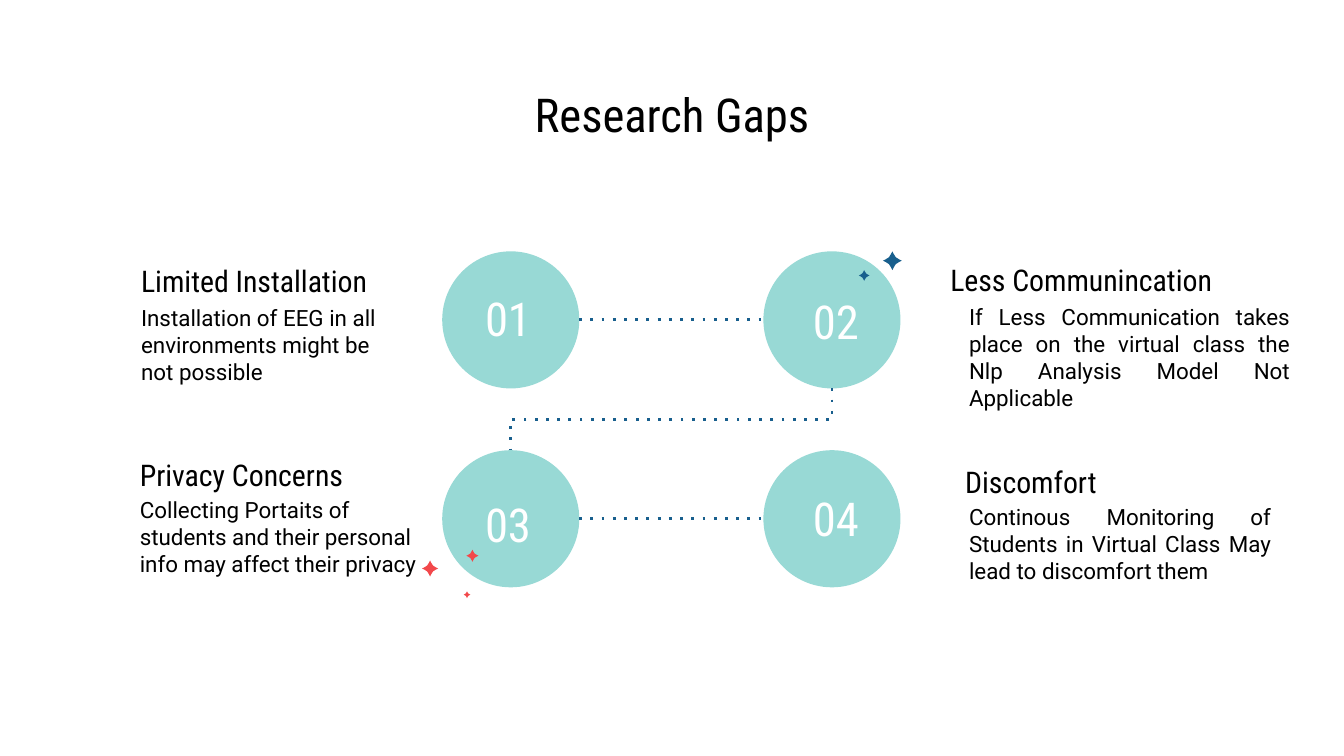
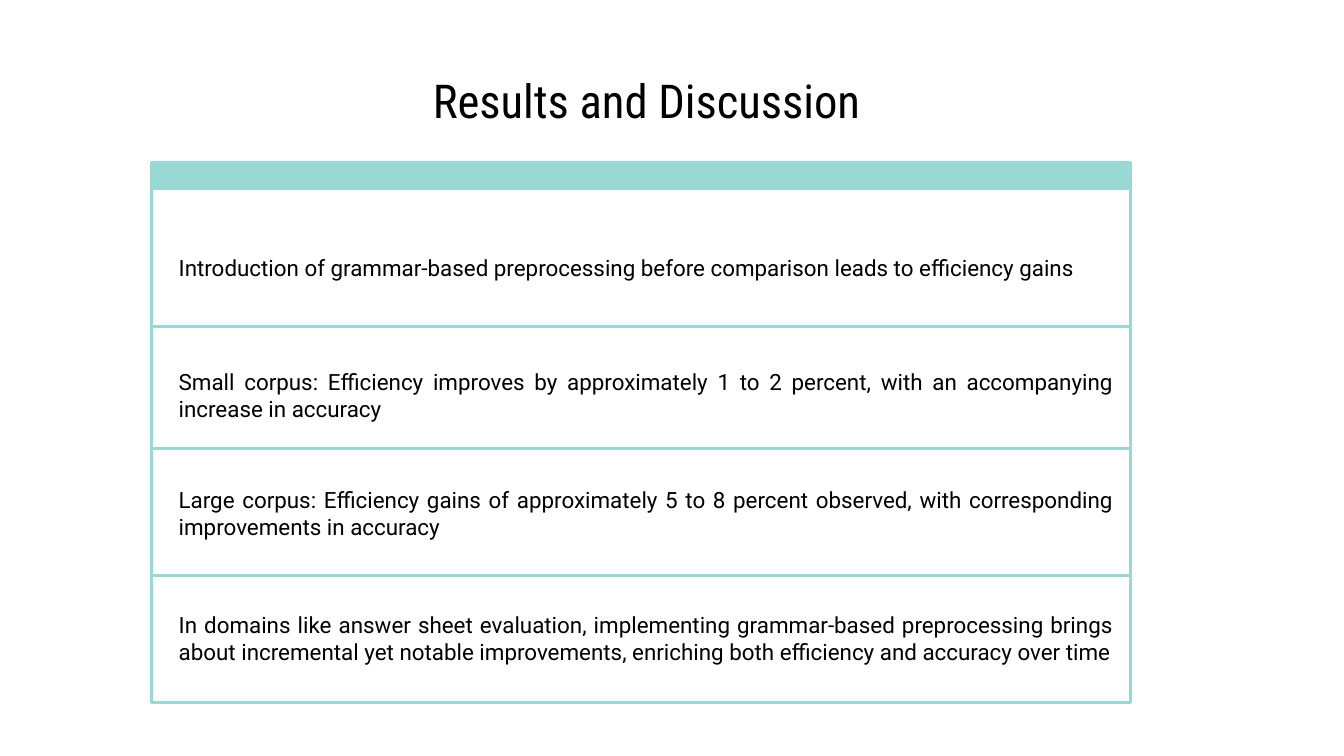
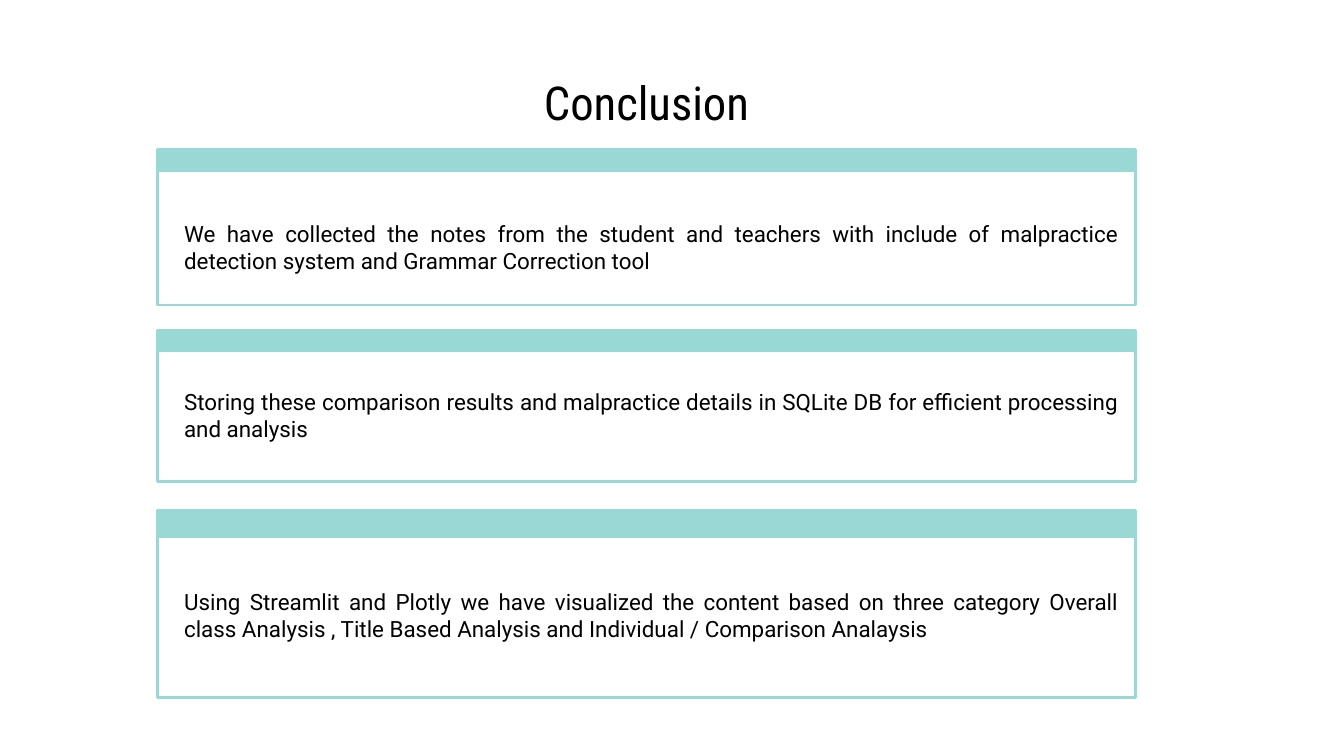
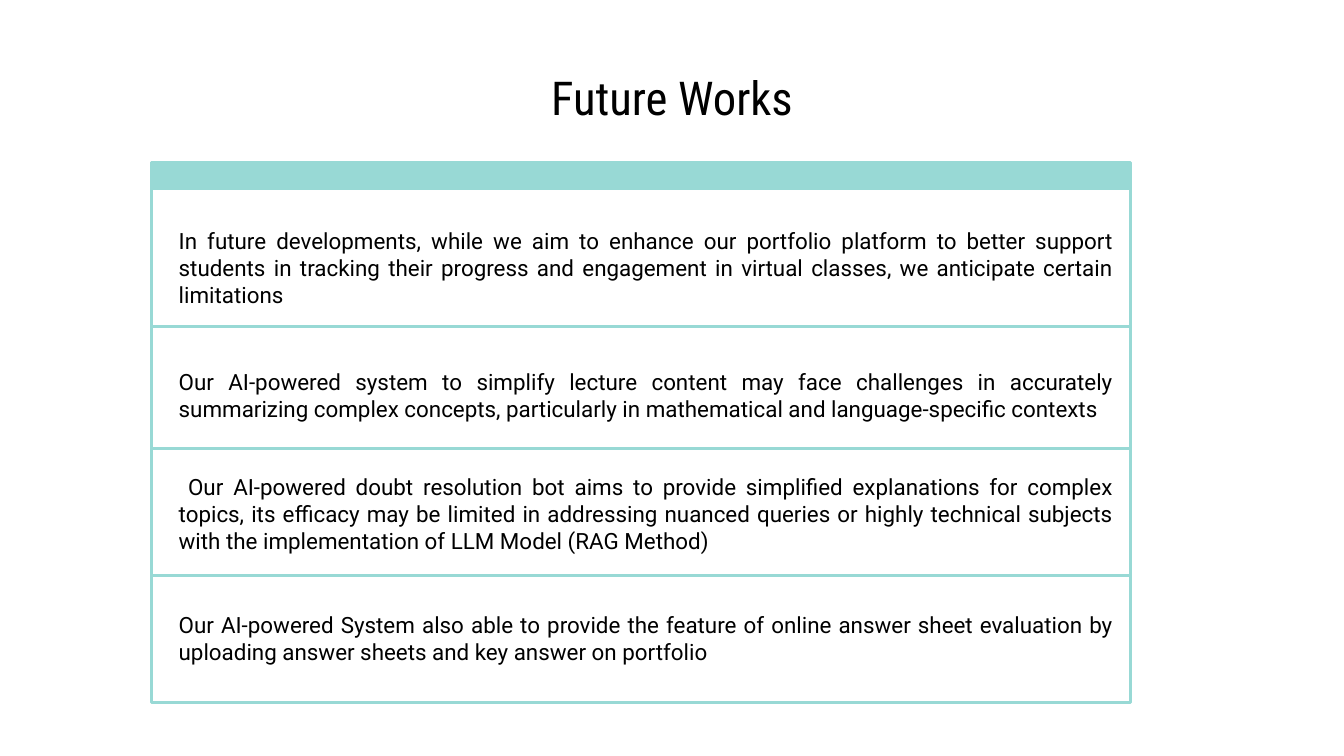
from pptx import Presentation
from pptx.dml.color import RGBColor
from pptx.enum.dml import MSO_LINE
from pptx.enum.shapes import MSO_CONNECTOR, MSO_SHAPE
from pptx.enum.text import MSO_ANCHOR, PP_ALIGN
from pptx.oxml.ns import qn
from pptx.util import Emu, Pt
from lxml import etree

ELBOW = MSO_CONNECTOR.ELBOW
RECTANGLE, CIRCLE = MSO_SHAPE.RECTANGLE, MSO_SHAPE.FLOWCHART_CONNECTOR
LEFT, CENTER, RIGHT, JUSTIFY = (PP_ALIGN.LEFT, PP_ALIGN.CENTER,
                                PP_ALIGN.RIGHT, PP_ALIGN.JUSTIFY)
MIDDLE = MSO_ANCHOR.MIDDLE
ROUND_DOT = MSO_LINE.ROUND_DOT

SLIDE_WIDTH = 1000
COLORS = {"text": "000000", "paper": "FFFFFF", "teal": "98D9D5",
          "blue": "185F8D", "red": "F2484B"}
HEADING_FONT, BODY_FONT = "Roboto Condensed", "Roboto"
TITLE_SIZE, HEADING_SIZE, BODY_SIZE = 25, 16, 12
LINE_WIDTH = Pt(1.5)
PANEL_WIDTH, PANEL_TEXT_WIDTH = 728, 696
CIRCLE_SIZE = 102

# Band height, body top, body height, text top, text height
STACK_ROWS = [
    (19, 17, 123, 60, 36),
    (0, 122, 123, 155, 36),
    (0, 213, 95, 247, 28),
    (0, 307, 95, 340, 28),
]


def px(length):
    return Emu(round(length * 9144))


def color(name):
    return RGBColor.from_string(COLORS[name])


def add_text(slide, box, text, size, font=BODY_FONT, align=LEFT, fill="text"):
    frame = slide.shapes.add_textbox(*map(px, box)).text_frame
    frame.word_wrap = True
    frame.vertical_anchor = MIDDLE
    frame.margin_left = frame.margin_right = 0
    frame.margin_top = frame.margin_bottom = 0
    frame.text = text
    paragraph = frame.paragraphs[0]
    paragraph.alignment = align
    run_font = paragraph.runs[0].font
    run_font.name, run_font.size = font, Pt(size)
    run_font.color.rgb = color(fill)
    return paragraph


def add_title(slide, left, top, text):
    add_text(slide, (left, top, 844, 52), text, TITLE_SIZE, HEADING_FONT, CENTER)


def add_filled(slide, kind, box, fill, outline=None):
    shape = slide.shapes.add_shape(kind, *map(px, box))
    shape.shadow.inherit = False
    shape.fill.solid()
    shape.fill.fore_color.rgb = color(fill)
    if outline:
        shape.line.color.rgb = color(outline)
        shape.line.width = LINE_WIDTH
    else:
        shape.line.fill.background()


def add_sparkle(slide, left, top, size, fill):
    """Four-pointed star with hollow sides, one quarter turned four times."""
    quarter = [(0, -1), (0.14, -0.72), (0.36, -0.36), (0.72, -0.14)]
    outline = []
    for _ in range(4):
        outline += quarter
        quarter = [(-y, x) for x, y in quarter]
    half = size / 2
    points = [(px(left + half + x * half), px(top + half + y * half))
              for x, y in outline]
    builder = slide.shapes.build_freeform(*points[0])
    builder.add_line_segments(points[1:])
    star = builder.convert_to_shape()
    star.shadow.inherit = False
    star.fill.solid()
    star.fill.fore_color.rgb = color(fill)
    star.line.fill.background()


def add_dotted_link(slide, start, end, rotation=0):
    link = slide.shapes.add_connector(ELBOW, *map(px, start + end))
    link.line.color.rgb = color("blue")
    link.line.width = LINE_WIDTH
    link.line.dash_style = ROUND_DOT
    properties = link._element.spPr
    properties.find(".//" + qn("a:prstDash")).set("val", "dot")
    if rotation:
        properties.find(qn("a:xfrm")).set("rot", str(rotation * 60000))
    etree.SubElement(properties, qn("a:effectLst"))


def add_gap_text(slide, heading_box, heading, body_box, body, heading_align, body_align):
    add_text(slide, heading_box, heading, HEADING_SIZE, HEADING_FONT, heading_align)
    add_text(slide, body_box, body, BODY_SIZE, align=body_align)


def add_gap_path(slide, left, top):
    """Four numbered circles in two rows, joined by dotted links."""
    column_step, row_step, radius = 239, 148, CIRCLE_SIZE // 2
    number_offsets = [(12, 36), (17, 38), (12, 41), (17, 37)]
    corners = [(left + column * column_step, top + row * row_step)
               for row in range(2) for column in range(2)]
    for x, y in corners:
        add_filled(slide, CIRCLE, (x, y, CIRCLE_SIZE, CIRCLE_SIZE), "teal")
    for x, y in corners[::2]:
        add_dotted_link(slide, (x + CIRCLE_SIZE, y + radius),
                        (x + column_step, y + radius))
    gap = row_step - CIRCLE_SIZE
    middle_x = left + radius + column_step / 2
    middle_y = top + CIRCLE_SIZE + gap / 2
    add_dotted_link(slide, (middle_x - gap / 2, middle_y - column_step / 2),
                    (middle_x + gap / 2, middle_y + column_step / 2), rotation=90)
    for x, y, size, fill in [(-15, 230, 12, "red"), (18, 222, 9, "red"),
                             (16, 253, 5, "red"), (328, 0, 14, "blue"),
                             (310, 14, 8, "blue")]:
        add_sparkle(slide, left + x, top + y, size, fill)
    for number, ((x, y), (dx, dy)) in enumerate(zip(corners, number_offsets), 1):
        add_text(slide, (x + dx, y + dy, 74, 27), f"{number:02}", TITLE_SIZE,
                 HEADING_FONT, CENTER, "paper")


def add_panel(slide, left, top, row, text, indent=0):
    """Outlined panel; a band height of 0 leaves the top band out."""
    band_height, body_top, body_height, text_top, text_height = row
    add_filled(slide, RECTANGLE, (left, top + body_top, PANEL_WIDTH, body_height),
               "paper", "teal")
    if band_height:
        add_filled(slide, RECTANGLE, (left, top, PANEL_WIDTH, band_height),
                   "teal", "teal")
    paragraph = add_text(slide, (left + 20, top + text_top, PANEL_TEXT_WIDTH, text_height),
                         text, BODY_SIZE, align=JUSTIFY)
    if indent:
        paragraph._p.get_or_add_pPr().set("indent", str(px(indent)))


def build_gaps(slide):
    add_title(slide, 78, 59, "Research Gaps")
    add_gap_text(slide, (105, 191, 175, 36), "Limited Installation",
                 (105, 233, 175, 47),
                 "Installation of EEG in all environments might be not possible",
                 LEFT, LEFT)
    add_gap_text(slide, (104, 335, 175, 36), "Privacy Concerns",
                 (104, 376, 209, 47),
                 "Collecting Portaits of students and their personal info may "
                 "affect their privacy", LEFT, LEFT)
    add_gap_text(slide, (701, 190, 201, 36), "Less Communincation",
                 (721, 242, 239, 47),
                 "If Less Communication takes place on the virtual class the "
                 "Nlp Analysis Model Not Applicable", RIGHT, JUSTIFY)
    add_gap_text(slide, (641, 340, 175, 36), "Discomfort",
                 (721, 381, 225, 47),
                 "Continous Monitoring of Students in Virtual Class May lead to "
                 "discomfort them", RIGHT, JUSTIFY)
    add_gap_path(slide, 329, 187)


def build_stack(slide, title_left, title_top, title, findings, indents=(0, 0, 0, 0)):
    add_title(slide, title_left, title_top, title)
    for row, finding, indent in zip(STACK_ROWS, findings, indents):
        add_panel(slide, 113, 121, row, finding, indent)


def build_conclusion(slide):
    add_title(slide, 59, 50, "Conclusion")
    cards = [
        (111, (16, 13, 103, 57, 31),
         "We have collected the notes from the student and teachers with include of "
         "malpractice detection system and Grammar Correction tool"),
        (246, (15, 13, 99, 48, 29),
         "Storing these comparison results and malpractice details in SQLite DB for "
         "efficient processing and analysis"),
        (380, (19, 16, 123, 60, 36),
         "Using Streamlit and Plotly we have visualized the content based on three "
         "category Overall class Analysis , Title Based Analysis and Individual / "
         "Comparison Analaysis"),
    ]
    for top, row, text in cards:
        add_panel(slide, 117, top, row, text)


def main():
    deck = Presentation()
    deck.slide_width = px(SLIDE_WIDTH)
    deck.slide_height = px(SLIDE_WIDTH * 9 / 16)
    blank = deck.slide_layouts[6]
    gaps, results, conclusion, future = [deck.slides.add_slide(blank) for _ in range(4)]
    build_gaps(gaps)
    build_stack(results, 59, 48, "Results and Discussion", [
        "Introduction of grammar-based preprocessing before comparison leads to "
        "efficiency gains",
        "Small corpus: Efficiency improves by approximately 1 to 2 percent, with an "
        "accompanying increase in accuracy",
        "Large corpus: Efficiency gains of approximately 5 to 8 percent observed, with "
        "corresponding improvements in accuracy",
        "In domains like answer sheet evaluation, implementing grammar-based "
        "preprocessing brings about incremental yet notable improvements, enriching "
        "both efficiency and accuracy over time",
    ])
    build_conclusion(conclusion)
    build_stack(future, 78, 46, "Future Works", [
        "In future developments, while we aim to enhance our portfolio platform to "
        "better support students in tracking their progress and engagement in virtual "
        "classes, we anticipate certain limitations",
        "Our AI-powered system to simplify lecture content may face challenges in "
        "accurately summarizing complex concepts, particularly in mathematical and "
        "language-specific contexts",
        "Our AI-powered doubt resolution bot aims to provide simplified explanations "
        "for complex topics, its efficacy may be limited in addressing nuanced queries "
        "or highly technical subjects with the implementation of LLM Model (RAG Method)",
        "Our AI-powered System also able to provide the feature of online answer sheet "
        "evaluation by uploading answer sheets and key answer on portfolio",
    ], indents=(0, 0, 7, 0))
    deck.save("out.pptx")


if __name__ == "__main__":
    main()
